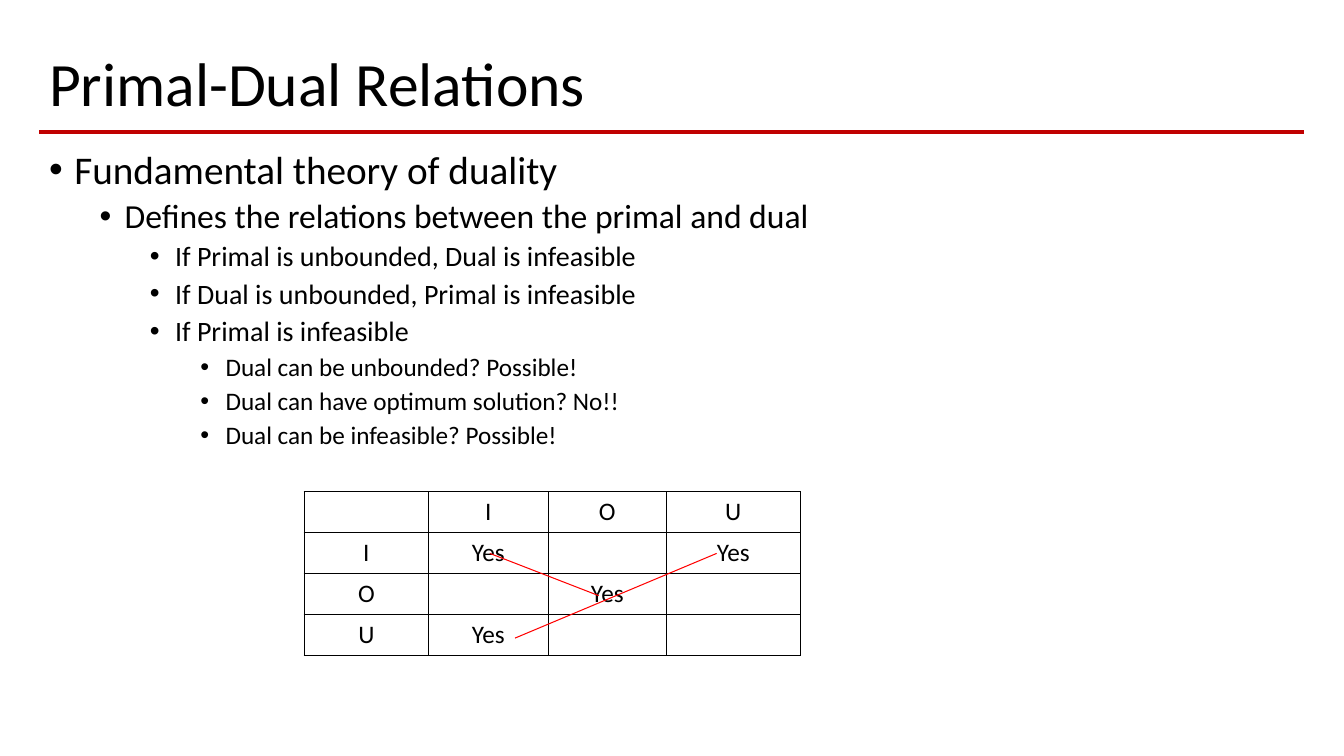
from dataclasses import dataclass

from lxml.etree import SubElement
from pptx import Presentation
from pptx.dml.color import RGBColor
from pptx.enum.shapes import MSO_CONNECTOR
from pptx.enum.text import MSO_ANCHOR, PP_ALIGN
from pptx.oxml.ns import qn
from pptx.slide import Slide
from pptx.table import _Cell
from pptx.text.text import TextFrame, _Paragraph
from pptx.util import Pt


@dataclass(frozen=True)
class Theme:
    font: str = "Calibri"
    ink: RGBColor = RGBColor(0x00, 0x00, 0x00)
    rule: RGBColor = RGBColor(0xC0, 0x00, 0x00)
    link: RGBColor = RGBColor(0xFF, 0x00, 0x00)
    title_size: float = 44
    level_sizes: tuple[float, ...] = (28, 24, 20, 18)
    table_size: float = 18


@dataclass(frozen=True)
class Bullet:
    level: int
    text: str


@dataclass(frozen=True)
class Line:
    start: tuple[float, float]
    end: tuple[float, float]
    color: RGBColor
    width: float


THEME = Theme()
LEFT, WIDTH = 28, 903.6
INDENT_STEP, HANGING = 36, 18

BULLETS = [
    Bullet(0, "Fundamental theory of duality"),
    Bullet(1, "Defines the relations between the primal and dual"),
    Bullet(2, "If Primal is unbounded, Dual is infeasible"),
    Bullet(2, "If Dual is unbounded, Primal is infeasible"),
    Bullet(2, "If Primal is infeasible"),
    Bullet(3, "Dual can be unbounded? Possible!"),
    Bullet(3, "Dual can have optimum solution? No!!"),
    Bullet(3, "Dual can be infeasible? Possible!"),
]

STATES = "IOU"
POSSIBLE_PAIRS = {"II", "IU", "OO", "UI"}
COLUMN_WIDTHS = (88.6, 85.7, 84.2, 95.8)
ROW_HEIGHT = 29.2

TITLE_RULE = Line((LEFT, 94.3), (LEFT + WIDTH, 94.3), THEME.rule, 2.25)
PAIR_LINKS = [
    Line((349.9, 395.3), (427.7, 425.5), THEME.link, 0.75),
    Line((511.9, 395.3), (367.9, 455.8), THEME.link, 0.75),
]


def add_span(para: _Paragraph, text: str, size: float) -> None:
    span = para.add_run()
    span.text = text
    span.font.name = THEME.font
    span.font.size = Pt(size)
    span.font.color.rgb = THEME.ink


def add_text_frame(page: Slide, top: float, height: float) -> TextFrame:
    box = page.shapes.add_textbox(Pt(LEFT), Pt(top), Pt(WIDTH), Pt(height))
    box.text_frame.word_wrap = True
    return box.text_frame


def add_title(page: Slide, text: str) -> None:
    frame = add_text_frame(page, 28.8, 66.2)
    frame.vertical_anchor = MSO_ANCHOR.MIDDLE
    para = frame.paragraphs[0]
    para.line_spacing = 0.9
    add_span(para, text, THEME.title_size)


def add_bullets(page: Slide, bullets: list[Bullet]) -> None:
    frame = add_text_frame(page, 103.7, 383)
    for index, bullet in enumerate(bullets):
        para = frame.add_paragraph() if index else frame.paragraphs[0]
        para.level = bullet.level
        properties = para._p.get_or_add_pPr()
        properties.set("marL", str(Pt(HANGING + INDENT_STEP * bullet.level)))
        properties.set("indent", str(-Pt(HANGING)))
        SubElement(properties, qn("a:buFont"), typeface="Arial")
        SubElement(properties, qn("a:buChar"), char="•")
        para.line_spacing = 0.9
        if index:
            para.space_before = Pt(5)
        add_span(para, bullet.text, THEME.level_sizes[bullet.level])


def add_line(page: Slide, line: Line) -> None:
    points = [Pt(value) for value in (*line.start, *line.end)]
    connector = page.shapes.add_connector(MSO_CONNECTOR.STRAIGHT, *points)
    connector.line.color.rgb = line.color
    connector.line.width = Pt(line.width)
    SubElement(connector._element.spPr, qn("a:effectLst"))


def style_cell(cell: _Cell) -> None:
    """Give the cell thin borders on all sides and no fill."""
    properties = cell._tc.get_or_add_tcPr()
    for side in ("lnL", "lnR", "lnT", "lnB"):
        border = SubElement(properties, qn(f"a:{side}"), w=str(Pt(1)))
        fill = SubElement(border, qn("a:solidFill"))
        SubElement(fill, qn("a:srgbClr"), val=str(THEME.ink))
    cell.fill.background()


def add_relation_table(page: Slide) -> None:
    rows = [["", *STATES]]
    for primal in STATES:
        marks = ["Yes" if primal + dual in POSSIBLE_PAIRS else "" for dual in STATES]
        rows.append([primal, *marks])

    table = page.shapes.add_table(
        len(rows), len(COLUMN_WIDTHS), Pt(217.4), Pt(351.2),
        Pt(sum(COLUMN_WIDTHS)), Pt(ROW_HEIGHT * len(rows)),
    ).table
    table.first_row = False
    table.horz_banding = False
    for column, width in zip(table.columns, COLUMN_WIDTHS):
        column.width = Pt(width)
    for row_index, texts in enumerate(rows):
        table.rows[row_index].height = Pt(ROW_HEIGHT)
        for column_index, text in enumerate(texts):
            cell = table.cell(row_index, column_index)
            style_cell(cell)
            if text:
                para = cell.text_frame.paragraphs[0]
                para.alignment = PP_ALIGN.CENTER
                add_span(para, text, THEME.table_size)


def main() -> None:
    deck = Presentation()
    deck.slide_width, deck.slide_height = Pt(960), Pt(540)
    page = deck.slides.add_slide(deck.slide_layouts[6])
    add_line(page, TITLE_RULE)
    add_title(page, "Primal-Dual Relations")
    add_bullets(page, BULLETS)
    add_relation_table(page)
    for link in PAIR_LINKS:
        add_line(page, link)
    deck.save("out.pptx")


if __name__ == "__main__":
    main()
